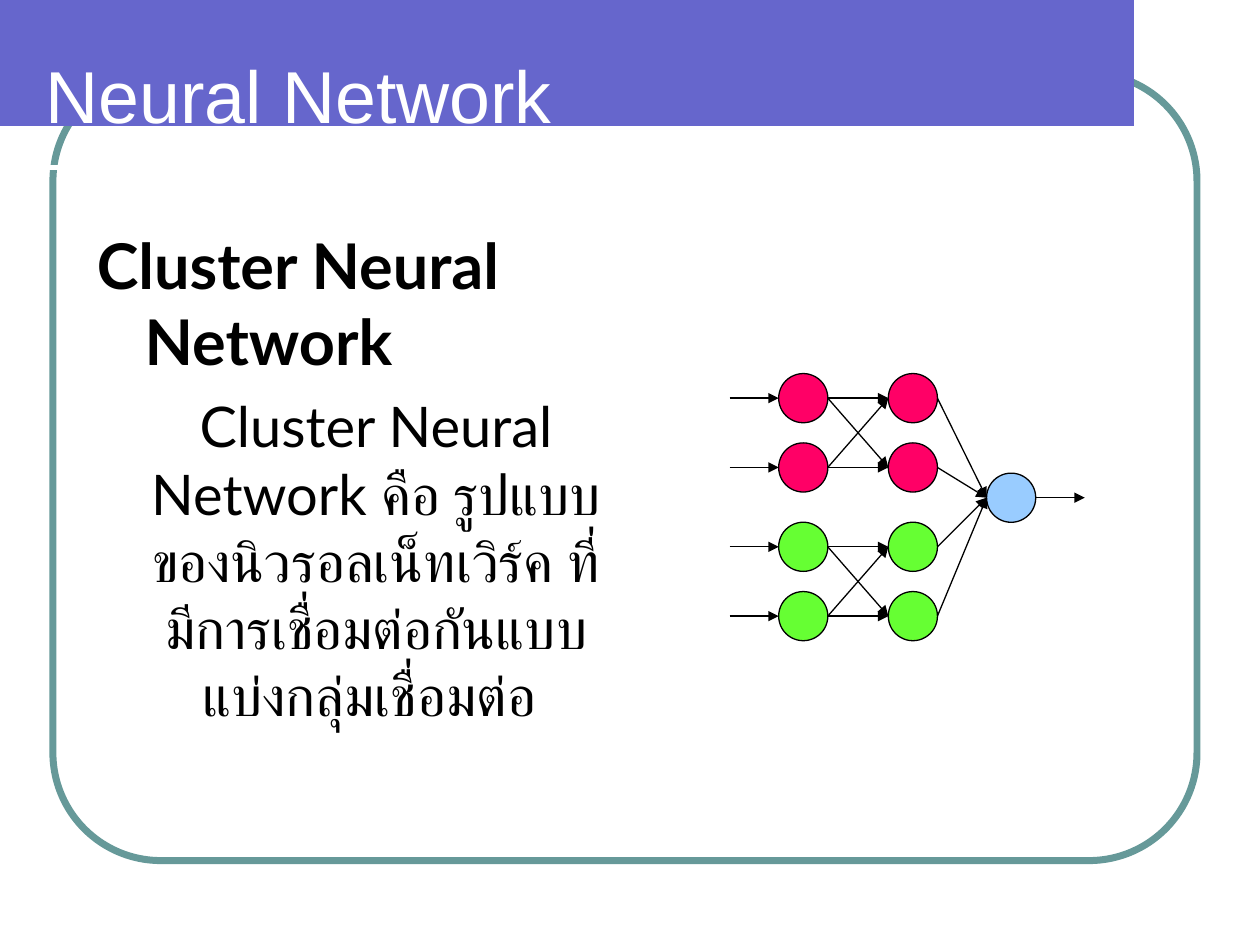
import math
from dataclasses import dataclass
from itertools import product

from lxml import etree
from pptx import Presentation
from pptx import util as u
from pptx.dml.color import RGBColor
from pptx.enum import shapes, text
from pptx.oxml.ns import qn


@dataclass(frozen=True)
class Theme:
    band: str = "6666CC"
    frame: str = "669999"
    white: str = "FFFFFF"
    black: str = "000000"
    upper_cluster: str = "FF0066"
    lower_cluster: str = "66FF33"
    output: str = "99CCFF"
    title_font: str = "Arial"
    body_font: str = "Lato"
    title_size: int = 42
    heading_size: int = 36
    body_size: int = 32
    thin: float = 0.75


THEME = Theme()
DIAMETER = 0.39


@dataclass(frozen=True)
class Neuron:
    left: float
    middle: float
    color: str

    @property
    def entry(self) -> tuple[float, float]:
        return self.left, self.middle

    @property
    def exit(self) -> tuple[float, float]:
        return self.left + DIAMETER, self.middle


def style_line(line, color: str, width: float) -> None:
    line.color.rgb = RGBColor.from_string(color)
    line.width = u.Pt(width)


def style_fill(shape, color: str) -> None:
    shape.shadow.inherit = False
    shape.fill.solid()
    shape.fill.fore_color.rgb = RGBColor.from_string(color)


def add_line(slide, start, end, color=THEME.black, width=THEME.thin, arrow=False) -> None:
    points = [u.Inches(value) for value in (*start, *end)]
    connector = slide.shapes.add_connector(shapes.MSO_CONNECTOR.STRAIGHT, *points)
    style_line(connector.line, color, width)
    if arrow:
        outline = connector.line._get_or_add_ln()
        etree.SubElement(outline, qn("a:tailEnd"), type="triangle")
    etree.SubElement(connector._element.spPr, qn("a:effectLst"))


def add_neuron(slide, neuron: Neuron) -> None:
    circle = slide.shapes.add_shape(
        shapes.MSO_SHAPE.OVAL, u.Inches(neuron.left), u.Inches(neuron.middle - DIAMETER / 2),
        u.Inches(DIAMETER), u.Inches(DIAMETER))
    style_fill(circle, neuron.color)
    style_line(circle.line, THEME.black, THEME.thin)


def write(paragraph, words: str, *, font: str, size: float, color: str, bold=False,
          align=text.PP_ALIGN.LEFT, hanging=0.0, before=0.0) -> None:
    properties = paragraph._p.get_or_add_pPr()
    if hanging:
        properties.set("marL", str(u.Inches(hanging)))
        properties.set("indent", str(u.Inches(-hanging)))
    tabs = etree.SubElement(properties, qn("a:tabLst"))
    for inch in range(8):
        etree.SubElement(tabs, qn("a:tab"), pos=str(u.Inches(inch)), algn="l")
    paragraph.alignment = align
    if before:
        paragraph.space_before = u.Pt(before)
    run = paragraph.add_run()
    run.text = words
    run.font.name, run.font.size, run.font.bold = font, u.Pt(size), bold
    run.font.color.rgb = RGBColor.from_string(color)


def draw_background(slide) -> None:
    # Rounded frame
    frame = slide.shapes.add_shape(shapes.MSO_SHAPE.ROUNDED_RECTANGLE, u.Inches(0.42),
                                   u.Inches(0.58), u.Inches(9.08), u.Inches(6.25))
    frame.adjustments[0] = 0.137
    frame.shadow.inherit = False
    frame.fill.background()
    style_line(frame.line, THEME.frame, 4)

    # Title band with a semicircular right end
    center_x, center_y, radius, steps = 8.67, 0.83, 0.665, 60
    angles = [math.pi * (step / steps - 0.5) for step in range(steps + 1)]
    arc = [(center_x + radius * math.cos(a), center_y + radius * math.sin(a)) for a in angles]
    builder = slide.shapes.build_freeform(0, center_y - radius, scale=u.Inches(1))
    builder.add_line_segments([*arc, (0, center_y + radius)], close=True)
    band = builder.convert_to_shape()
    style_fill(band, THEME.band)
    band.line.fill.background()
    add_line(slide, (0, 1.33), (8.83, 1.33), THEME.white, 3)


def draw_title(slide) -> None:
    title = slide.shapes.title
    slide.shapes._spTree.append(title._element)  # in front of the band
    title.left, title.top = u.Inches(0.26), u.Inches(0.3)
    title.width, title.height = u.Inches(8.67), u.Inches(0.9)
    frame = title.text_frame
    frame.auto_size = text.MSO_AUTO_SIZE.NONE
    frame.vertical_anchor = text.MSO_ANCHOR.MIDDLE
    write(frame.paragraphs[0], "Neural Network", font=THEME.title_font,
          size=THEME.title_size, color=THEME.white)


def draw_body(slide) -> None:
    body = slide.shapes.add_textbox(u.Inches(0.67), u.Inches(1.75), u.Inches(4.25), u.Inches(4.83))
    frame = body.text_frame
    frame.word_wrap = True
    write(frame.paragraphs[0], "Cluster Neural Network", font=THEME.body_font,
          size=THEME.heading_size, color=THEME.black, bold=True, hanging=0.38)
    write(frame.add_paragraph(),
          "\tCluster Neural Network คือ รูปแบบของนิวรอลเน็ทเวิร์ค ที่มีการเชื่อมต่อกันแบบแบ่งกลุ่มเชื่อมต่อ ",
          font=THEME.body_font, size=THEME.body_size, color=THEME.black,
          align=text.PP_ALIGN.CENTER, hanging=0.38, before=8)


def draw_network(slide) -> None:
    input_x, hidden_x, output_x = 6.18, 7.05, 7.83
    row_gap, stub = 0.55, 0.39
    output = Neuron(output_x, 3.95, THEME.output)
    add_neuron(slide, output)
    for top, color in ((3.16, THEME.upper_cluster), (4.34, THEME.lower_cluster)):
        rows = (top, top + row_gap)
        inputs = [Neuron(input_x, row, color) for row in rows]
        hidden = [Neuron(hidden_x, row, color) for row in rows]
        for neuron in inputs + hidden:
            add_neuron(slide, neuron)
        # Signals into, across and out of the cluster
        links = [((input_x - stub, n.middle), n.entry) for n in inputs]
        links += [(a.exit, b.entry) for a, b in product(inputs, hidden)]
        links += [(n.exit, output.entry) for n in hidden]
        for start, end in links:
            add_line(slide, start, end, arrow=True)
    exit_x, exit_y = output.exit
    add_line(slide, output.exit, (exit_x + stub, exit_y), arrow=True)


def main() -> None:
    deck = Presentation()
    deck.slide_width, deck.slide_height = u.Inches(10), u.Inches(7.5)
    slide = deck.slides.add_slide(deck.slide_layouts[5])
    draw_background(slide)
    draw_title(slide)
    draw_body(slide)
    draw_network(slide)
    deck.save("out.pptx")


if __name__ == "__main__":
    main()
